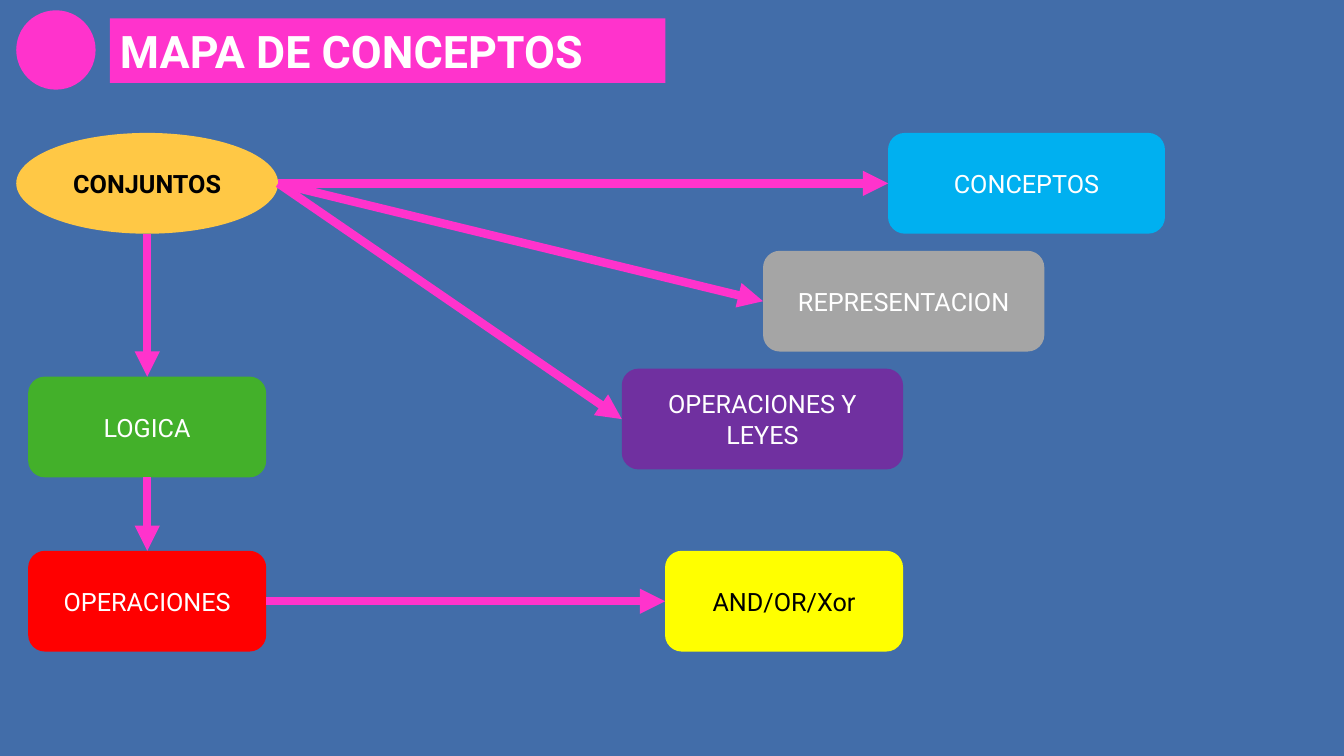
from dataclasses import dataclass

from lxml import etree
from pptx import Presentation
from pptx.dml.color import RGBColor
from pptx.enum.shapes import MSO_CONNECTOR, MSO_SHAPE
from pptx.enum.text import MSO_ANCHOR, MSO_AUTO_SIZE, PP_ALIGN
from pptx.oxml.ns import qn
from pptx.util import Cm, Pt

OVAL, ROUNDED = MSO_SHAPE.OVAL, MSO_SHAPE.ROUNDED_RECTANGLE
STRAIGHT = MSO_CONNECTOR.STRAIGHT
MIDDLE = MSO_ANCHOR.MIDDLE
LEFT, CENTER = PP_ALIGN.LEFT, PP_ALIGN.CENTER
NO_AUTOFIT = MSO_AUTO_SIZE.NONE
TOP_SITE, LEFT_SITE, BOTTOM_SITE, RIGHT_SITE = range(4)
TITLE_ONLY = 5


@dataclass(frozen=True)
class Theme:
    """Colours, font and type sizes of the slide."""
    background: str = "426DA9"
    accent: str = "FF33CC"
    light: str = "FFFFFF"
    dark: str = "000000"
    sets: str = "FFC845"
    concepts: str = "00B0F0"
    representation: str = "A5A5A5"
    laws: str = "7030A0"
    logic: str = "43B02A"
    operations: str = "FF0000"
    gates: str = "FFFF00"
    font: str = "Roboto"
    title_size: int = 32
    node_size: int = 18
    arrow_width: int = 6


THEME = Theme()
NODE_HEIGHT = 2.54


def paint(fill, colour):
    """Give a fill one solid colour."""
    fill.solid()
    fill.fore_color.rgb = RGBColor.from_string(colour)


def write(shape, text, size, colour, bold=False, align=CENTER):
    """Write one vertically centred run of text in a shape."""
    frame = shape.text_frame
    frame.word_wrap = True
    frame.auto_size = NO_AUTOFIT
    frame.vertical_anchor = MIDDLE
    paragraph = frame.paragraphs[0]
    paragraph.alignment = align
    run = paragraph.add_run()
    run.text = text
    run.font.name = THEME.font
    run.font.size = Pt(size)
    run.font.bold = bold
    run.font.color.rgb = RGBColor.from_string(colour)


def add_block(slide, preset, box, colour):
    """Add a flat preset shape in a box given in centimetres."""
    block = slide.shapes.add_shape(preset, *map(Cm, box))
    block.shadow.inherit = False
    paint(block.fill, colour)
    block.line.fill.background()
    return block


def add_node(slide, text, box, colour, text_colour=THEME.light, preset=ROUNDED):
    """Add a labelled concept; the oval root is bold."""
    node = add_block(slide, preset, box, colour)
    write(node, text, THEME.node_size, text_colour, bold=preset == OVAL)
    return node


def add_arrow(slide, start, target, site):
    """Draw an arrow from a point to a connection site of a node."""
    arrow = slide.shapes.add_connector(STRAIGHT, *start, *start)
    arrow.end_connect(target, site)
    arrow.line.width = Pt(THEME.arrow_width)
    paint(arrow.line.fill, THEME.accent)
    outline = arrow.line.fill._xPr
    etree.SubElement(outline, qn("a:tailEnd"), type="triangle")
    etree.SubElement(outline.getparent(), qn("a:effectLst"))
    return arrow


def add_heading(slide, left, top):
    """Place the round badge and the title banner."""
    add_block(slide, OVAL, (left, top, 2, 2), THEME.accent)
    banner = slide.shapes.title
    banner.left, banner.top = Cm(left + 2.36), Cm(top + 0.2)
    banner.width, banner.height = Cm(14), Cm(1.63)
    paint(banner.fill, THEME.accent)
    write(banner, "MAPA DE CONCEPTOS", THEME.title_size, THEME.light, True, LEFT)


def add_set_topics(slide, root, left, top):
    """Fan arrows from the root to its staggered topics."""
    topics = (
        ("CONCEPTOS", 6.71, 6.98, THEME.concepts),
        ("REPRESENTACION", 3.56, 7.09, THEME.representation),
        ("OPERACIONES Y LEYES", 0, 7.09, THEME.laws),
    )
    start = root.left + root.width, root.top + root.height // 2
    for row, (text, offset, width, colour) in enumerate(topics):
        box = left + offset, top + row * 2.97, width, NODE_HEIGHT
        topic = add_node(slide, text, box, colour)
        add_arrow(slide, start, topic, LEFT_SITE)


def add_logic_branch(slide, root, left, top):
    """Place the logic chain below the root and its gates."""
    def branch_node(text, dx, dy, *colours):
        """Place a node relative to the branch corner."""
        return add_node(slide, text, (left + dx, top + dy, 6, NODE_HEIGHT), *colours)

    logic = branch_node("LOGICA", 0, 0, THEME.logic)
    operations = branch_node("OPERACIONES", 0, 4.39, THEME.operations)
    gates = branch_node("AND/OR/Xor", 16.05, 4.39, THEME.gates, THEME.dark)
    below_root = root.left + root.width // 2, root.top + root.height
    add_arrow(slide, below_root, logic, TOP_SITE)
    for source, source_site, target, target_site in (
        (logic, BOTTOM_SITE, operations, TOP_SITE),
        (operations, RIGHT_SITE, gates, LEFT_SITE),
    ):
        arrow = add_arrow(slide, (source.left, source.top), target, target_site)
        arrow.begin_connect(source, source_site)


def build_concept_map(deck):
    """Build the concept map slide."""
    slide = deck.slides.add_slide(deck.slide_layouts[TITLE_ONLY])
    paint(slide.background.fill, THEME.background)
    add_heading(slide, 0.41, 0.26)
    root = add_node(slide, "CONJUNTOS", (0.41, 3.35, 6.6, NODE_HEIGHT),
                    THEME.sets, THEME.dark, OVAL)
    add_set_topics(slide, root, 15.67, 3.35)
    add_logic_branch(slide, root, 0.71, 9.49)


def main():
    """Create and save the presentation."""
    deck = Presentation()
    deck.slide_width, deck.slide_height = Cm(33.87), Cm(19.05)
    build_concept_map(deck)
    deck.save("out.pptx")


main()
